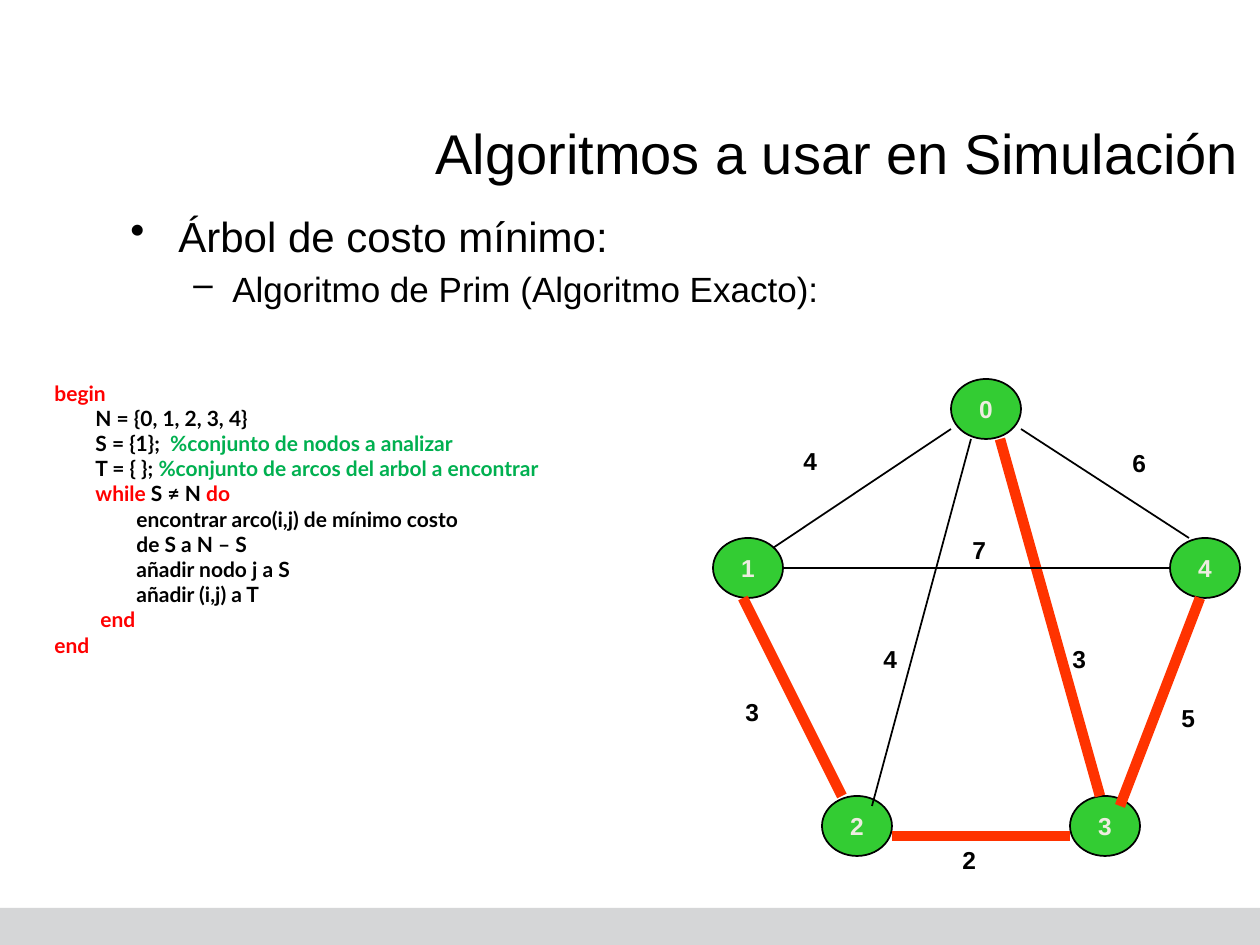
"""Build a slide on Prim's algorithm with pseudocode and a weighted graph."""
from lxml import etree
from pptx import Presentation
from pptx.dml.color import RGBColor
from pptx.enum.shapes import MSO_CONNECTOR, MSO_SHAPE
from pptx.enum.text import MSO_ANCHOR, MSO_AUTO_SIZE, PP_ALIGN
from pptx.oxml.ns import qn
from pptx.util import Emu, Pt

STRAIGHT = MSO_CONNECTOR.STRAIGHT
ELLIPSE, RECTANGLE = MSO_SHAPE.OVAL, MSO_SHAPE.RECTANGLE
MIDDLE = MSO_ANCHOR.MIDDLE
NO_FIT, GROW = MSO_AUTO_SIZE.NONE, MSO_AUTO_SIZE.SHAPE_TO_FIT_TEXT
LEFT, CENTER, RIGHT = PP_ALIGN.LEFT, PP_ALIGN.CENTER, PP_ALIGN.RIGHT

BLACK = RGBColor(0x00, 0x00, 0x00)
RED = RGBColor(0xFF, 0x00, 0x00)
COMMENT_GREEN = RGBColor(0x00, 0xB0, 0x50)
NODE_GREEN = RGBColor(0x33, 0xCC, 0x33)
NODE_TEXT = RGBColor(0xEE, 0xEC, 0xE1)
TREE_ORANGE = RGBColor(0xFF, 0x33, 0x00)
BAND_GRAY = RGBColor(0xD5, 0xD6, 0xD7)

PX_PER_INCH = 126
NODE_SIZE = (70, 60)
LABEL_SIZE = (39, 43)
CODE_STEP = 41

TOPICS = [
    ("Árbol de costo mínimo:", "•", 24, 48, 48),
    ("Algoritmo de Prim (Algoritmo Exacto):", "–", 20, 102, 39),
]
CODE = [
    (0, [("begin", RED)]),
    (CODE_STEP, [("N = {0, 1, 2, 3, 4}", BLACK)]),
    (CODE_STEP, [("S = {1};  ", BLACK), ("%conjunto de nodos a analizar", COMMENT_GREEN)]),
    (CODE_STEP, [("T = { }; ", BLACK), ("%conjunto de arcos del arbol a encontrar", COMMENT_GREEN)]),
    (CODE_STEP, [("while", RED), (" S ≠ N ", BLACK), ("do", RED)]),
    (2 * CODE_STEP, [("encontrar arco(i,j) de mínimo costo", BLACK)]),
    (2 * CODE_STEP, [("de S a N – S", BLACK)]),
    (2 * CODE_STEP, [("añadir nodo j a S", BLACK)]),
    (2 * CODE_STEP, [("añadir (i,j) a T", BLACK)]),
    (CODE_STEP + 5, [("end", RED)]),
    (0, [("end", RED)]),
]
NODES = [("0", 951, 379), ("1", 713, 538), ("2", 822, 796), ("3", 1070, 796), ("4", 1170, 538)]
TREE_EDGES = [
    ((743, 598), (842, 796)),
    ((1200, 598), (1120, 806)),
    ((892, 836), (1070, 836)),
    ((1000, 439), (1100, 796)),
]
OTHER_EDGES = [
    ((773, 548), (951, 429)),
    ((1021, 429), (1189, 538)),
    ((971, 439), (872, 806)),
    ((782, 568), (1170, 568)),
]
WEIGHTS = [
    ("4", 791, 440), ("3", 733, 691), ("2", 950, 839), ("5", 1169, 697),
    ("6", 1120, 442), ("4", 871, 638), ("3", 1060, 638), ("7", 960, 529),
]


def px(length):
    """Turn pixels into EMU."""
    return Emu(round(length * 914400 / PX_PER_INCH))


class SlideBuilder:
    """Hold the text style and the current slide."""

    def __init__(self, page, font="Arial", code_font="Lato"):
        self.page = page
        self.font = font
        self.code_font = code_font

    def style(self, para, size, color=None, bold=False, align=LEFT, font=None):
        """Set the look shared by all spans of a paragraph."""
        para.alignment = align
        para.font.name = font or self.font
        para.font.size = Pt(size)
        para.font.bold = bold
        if color is not None:
            para.font.color.rgb = color

    def indent(self, para, margin, hanging=0):
        """Set the left margin and hanging indent of a paragraph."""
        properties = para._p.get_or_add_pPr()
        properties.set("marL", str(px(margin)))
        properties.set("indent", str(-px(hanging)))
        return properties

    def paragraphs(self, frame, count):
        """Return the given number of paragraphs in a text frame."""
        return [frame.paragraphs[0]] + [frame.add_paragraph() for _ in range(count - 1)]

    def text_frame(self, left, top, width, height, wrap=True):
        """Add a text box and return its frame."""
        box = self.page.shapes.add_textbox(px(left), px(top), px(width), px(height))
        box.text_frame.word_wrap = wrap
        return box.text_frame

    def shape(self, kind, left, top, width, height, fill, outlined=False):
        """Add a filled preset shape."""
        shape = self.page.shapes.add_shape(kind, px(left), px(top), px(width), px(height))
        shape.shadow.inherit = False
        shape.fill.solid()
        shape.fill.fore_color.rgb = fill
        if outlined:
            shape.line.color.rgb = BLACK
            shape.line.width = Pt(1)
        else:
            shape.line.fill.background()
        return shape

    def title(self, text, left, top, width, height):
        """Fill and place the title placeholder."""
        title = self.page.shapes.title
        title.left, title.top, title.width, title.height = map(px, (left, top, width, height))
        frame = title.text_frame
        frame.text = text
        frame.auto_size = NO_FIT
        frame.vertical_anchor = MIDDLE
        self.style(frame.paragraphs[0], 32, BLACK, align=RIGHT)

    def bullets(self, topics, *place):
        """Add a nested bullet list."""
        frame = self.text_frame(*place)
        paras = self.paragraphs(frame, len(topics))
        for level, (para, (text, mark, size, margin, hanging)) in enumerate(zip(paras, topics)):
            para.text = text
            para.level = level
            para.space_before = Pt(size / 5)
            self.style(para, size, BLACK)
            properties = self.indent(para, margin, hanging)
            bullet = etree.Element(qn("a:buChar"), char=mark)
            properties.insert_element_before(bullet, "a:tabLst", "a:defRPr", "a:extLst")

    def code(self, lines, *place):
        """Add coloured, indented code."""
        frame = self.text_frame(*place)
        for para, (margin, spans) in zip(self.paragraphs(frame, len(lines)), lines):
            self.style(para, 12, bold=True, font=self.code_font)
            self.indent(para, margin)
            for text, color in spans:
                span = para.add_run()
                span.text = text
                span.font.color.rgb = color

    def node(self, text, left, top):
        """Add a numbered graph node."""
        frame = self.shape(ELLIPSE, left, top, *NODE_SIZE, NODE_GREEN, outlined=True).text_frame
        frame.text = text
        frame.word_wrap = False
        frame.vertical_anchor = MIDDLE
        self.style(frame.paragraphs[0], 14, NODE_TEXT, bold=True, align=CENTER)

    def edge(self, start, end, color, width):
        """Add a straight edge between two points."""
        line = self.page.shapes.add_connector(STRAIGHT, *map(px, start + end))
        line.line.color.rgb = color
        line.line.width = Pt(width)
        etree.SubElement(line._element.spPr, qn("a:effectLst"))

    def weight(self, text, left, top):
        """Add the weight of an edge."""
        frame = self.text_frame(left, top, *LABEL_SIZE, wrap=False)
        frame.auto_size = GROW
        frame.text = text
        self.style(frame.paragraphs[0], 14, BLACK, bold=True)


def main():
    """Build and save the deck."""
    deck = Presentation()
    deck.slide_width, deck.slide_height = px(1260), px(945)
    builder = SlideBuilder(deck.slides.add_slide(deck.slide_layouts[5]))
    builder.shape(RECTANGLE, 0, 908, 1260, 37, BAND_GRAY)
    builder.bullets(TOPICS, 118, 204, 1134, 719)
    builder.title("Algoritmos a usar en Simulación", 118, 105, 1134, 95)
    builder.code(CODE, 42, 374, 890, 466)
    for node in NODES:
        builder.node(*node)
    for start, end in TREE_EDGES:
        builder.edge(start, end, TREE_ORANGE, 6)
    for start, end in OTHER_EDGES:
        builder.edge(start, end, BLACK, 1)
    for weight in WEIGHTS:
        builder.weight(*weight)
    deck.save("out.pptx")


if __name__ == "__main__":
    main()
